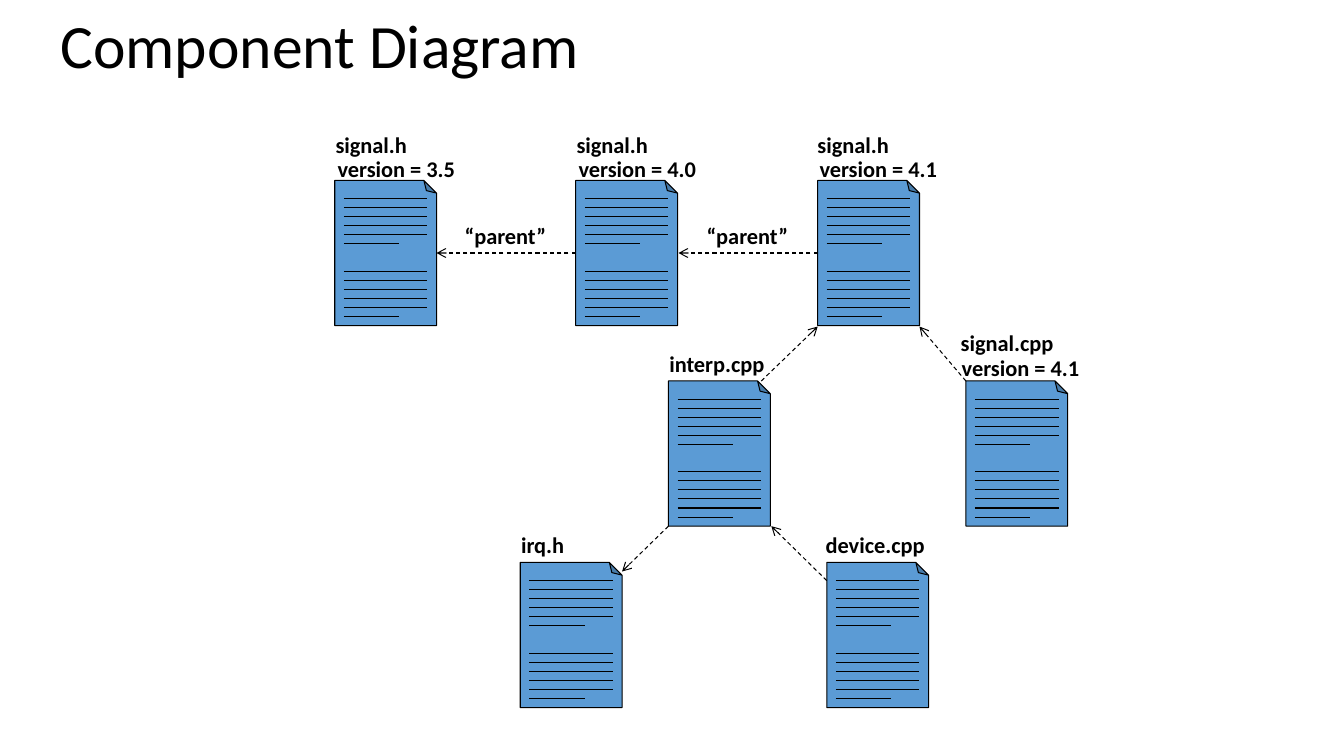
from lxml.etree import SubElement
from pptx import Presentation
from pptx.dml.color import RGBColor
from pptx.enum.dml import MSO_LINE
from pptx.enum.shapes import MSO_CONNECTOR, MSO_SHAPE
from pptx.enum.text import MSO_ANCHOR, MSO_AUTO_SIZE, PP_ALIGN
from pptx.oxml.ns import qn
from pptx.util import Inches, Pt

BLACK = "000000"
FILE_BLUE = "5B9BD5"
FILE_WIDTH, FILE_HEIGHT = 1.01, 1.44
LINE_STEP = 0.09


def style_text(frame, text, formats):
    paragraph = frame.paragraphs[0]
    paragraph.alignment = PP_ALIGN.LEFT
    span = paragraph.add_run()
    span.text = text
    for name, value in formats.items():
        setattr(span.font, name, value)
    span.font.color.rgb = RGBColor.from_string(BLACK)


def draw_line(shapes, start, end):
    line = shapes.add_connector(
        MSO_CONNECTOR.STRAIGHT, *[Inches(value) for value in (*start, *end)])
    line.line.color.rgb = RGBColor.from_string(BLACK)
    line.line.width = Pt(0.75)
    SubElement(line._element.spPr, qn("a:effectLst"))
    return line


deck = Presentation()
deck.slide_width, deck.slide_height = Inches(13.33), Inches(7.5)
page = deck.slides.add_slide(deck.slide_layouts[5])

# Title
title = page.shapes.title
title.left, title.top = Inches(0.5), Inches(-0.24)
title.width, title.height = Inches(11.5), Inches(1.45)
title.text_frame.auto_size = MSO_AUTO_SIZE.NONE
title.text_frame.vertical_anchor = MSO_ANCHOR.MIDDLE
title.text_frame.paragraphs[0].line_spacing = 0.9
style_text(title.text_frame, "Component Diagram",
           {"name": "Calibri", "size": Pt(44), "bold": False})

# Source files: a folded sheet with two blocks of six text lines
files = [(8.2, 5.58), (9.58, 3.78), (6.63, 3.78), (5.16, 5.58),
         (3.32, 1.79), (5.71, 1.79), (8.11, 1.79)]
for left, top in files:
    group = page.shapes.add_group_shape()
    sheet = group.shapes.add_shape(
        MSO_SHAPE.FOLDED_CORNER, Inches(left), Inches(top),
        Inches(FILE_WIDTH), Inches(FILE_HEIGHT))
    geometry = sheet._element.spPr.find(qn("a:prstGeom"))
    SubElement(geometry.get_or_add_avLst(), qn("a:gd"),
               name="adj", fmla="val 12500")
    sheet._element.spPr.find(qn("a:xfrm")).set("flipV", "1")
    sheet.shadow.inherit = False
    sheet.fill.solid()
    sheet.fill.fore_color.rgb = RGBColor.from_string(FILE_BLUE)
    sheet.line.color.rgb = RGBColor.from_string(BLACK)
    sheet.line.width = Pt(0.75)
    for block_top in (0.18, 0.9):
        for row in range(6):
            height = top + block_top + row * LINE_STEP
            length = 0.55 if row == 5 else 0.83
            draw_line(group.shapes, (left + 0.09, height),
                      (left + 0.09 + length, height))

# Dependency arrows, each pointing at its end
arrows = [((5.71, 2.51), (4.33, 2.51)), ((8.11, 2.51), (6.73, 2.51)),
          ((7.55, 3.78), (8.11, 3.24)), ((9.58, 3.78), (9.12, 3.24)),
          ((8.2, 5.76), (7.65, 5.22)), ((6.63, 5.22), (6.17, 5.67))]
for start, end in arrows:
    arrow = draw_line(page.shapes, start, end)
    arrow.line.dash_style = MSO_LINE.DASH
    outline = arrow._element.spPr.find(qn("a:ln"))
    SubElement(outline, qn("a:tailEnd"), type="arrow")

# File names, versions and relation labels
labels = [("“parent”", 4.51, 2.15, 1.2), ("“parent”", 6.91, 2.15, 1.2),
          ("signal.cpp", 9.43, 3.22, 1.93), ("version = 4.1", 9.44, 3.46, 1.66),
          ("interp.cpp", 6.54, 3.42, 2.03), ("irq.h", 5.07, 5.22, 1.2),
          ("device.cpp", 8.09, 5.22, 1.58)]
for left, version in ((3.23, "3.5"), (5.62, "4.0"), (8.01, "4.1")):
    labels.append(("signal.h", left, 1.25, 1.2))
    labels.append((f"version = {version}", left + 0.02, 1.49, 1.66))
for text, left, top, width in labels:
    box = page.shapes.add_textbox(
        Inches(left), Inches(top), Inches(width), Inches(0.4))
    box.text_frame.word_wrap = True
    style_text(box.text_frame, text,
               {"name": "Calibri", "size": Pt(16), "bold": True})

deck.save("out.pptx")
